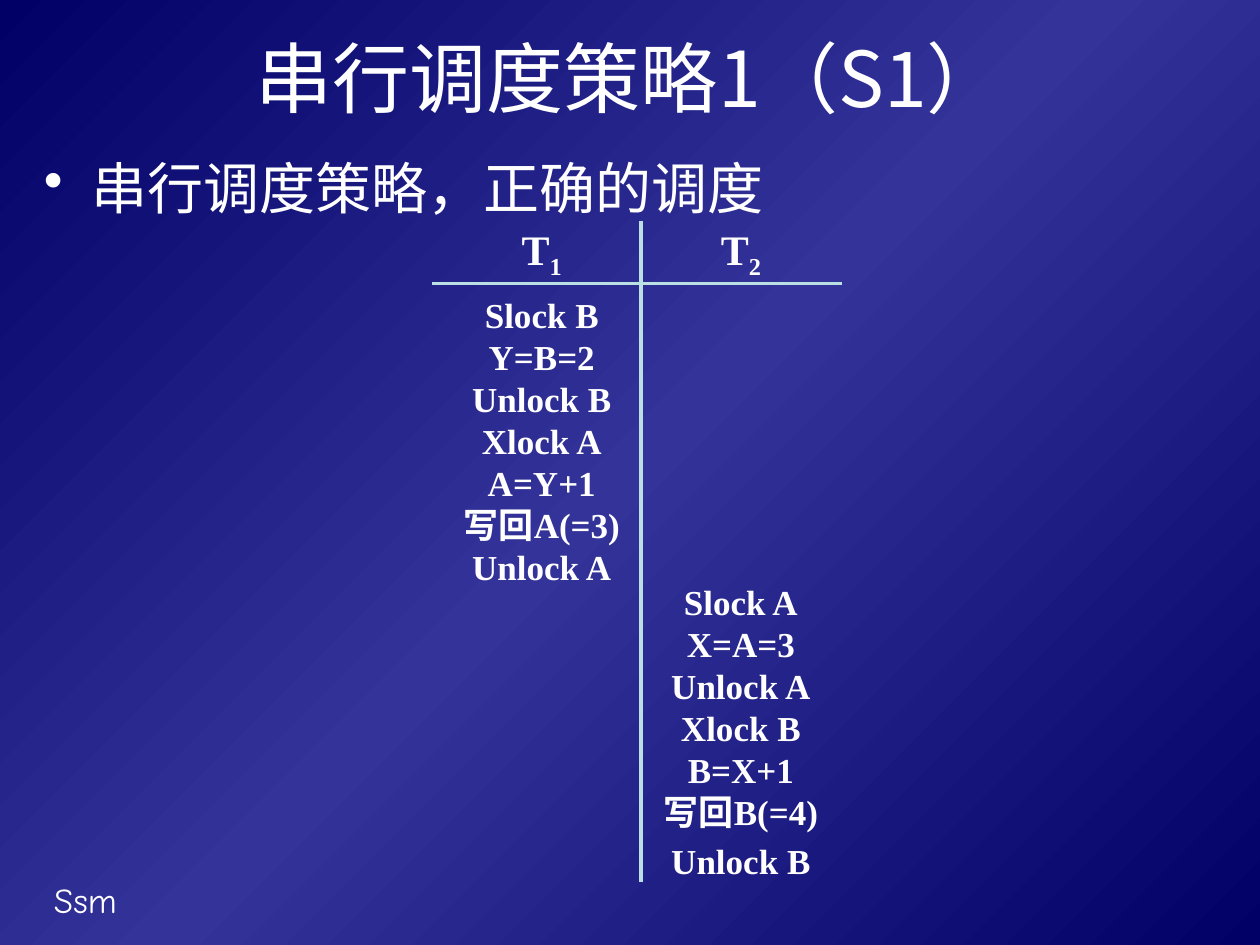
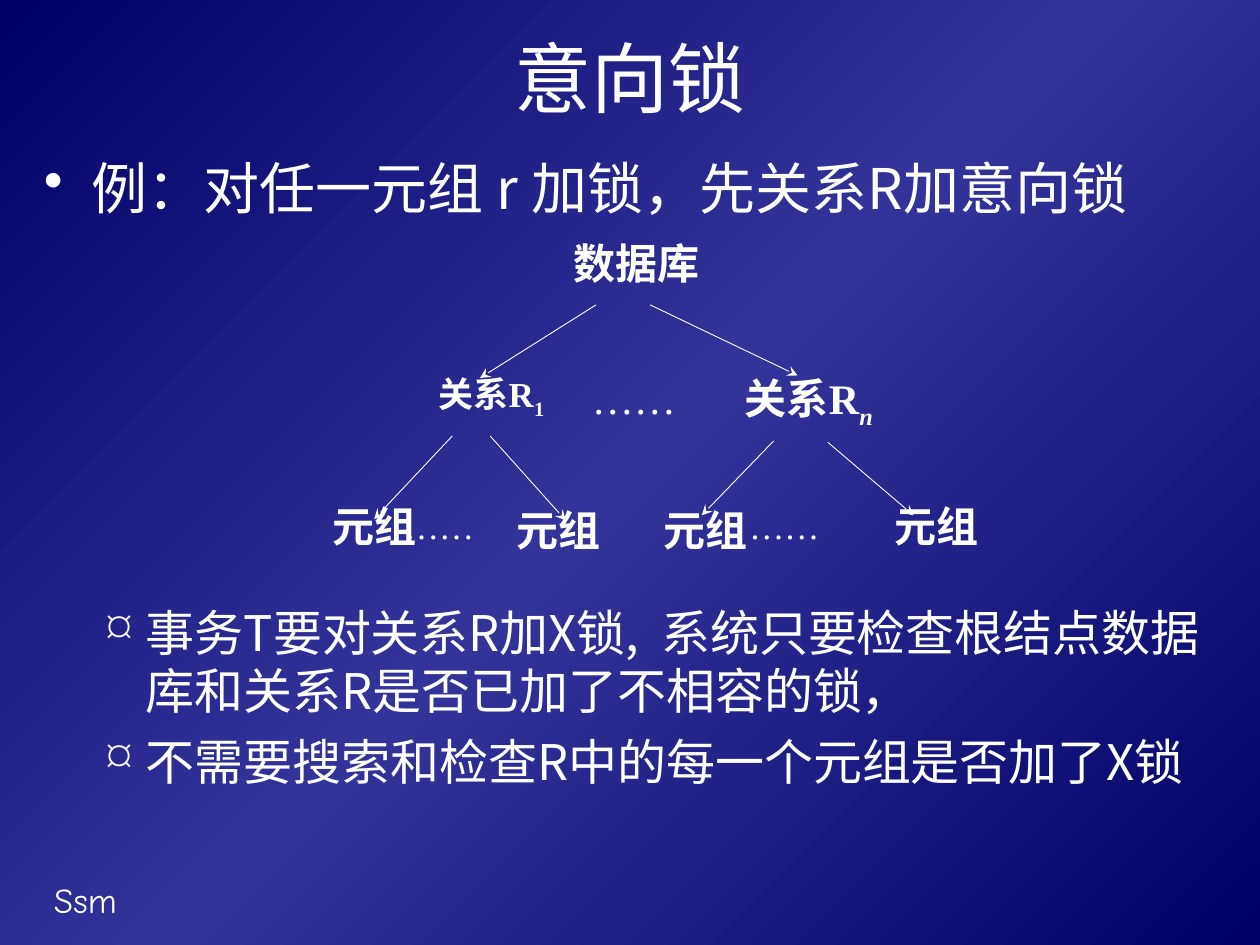
"""Build two lecture slides on database locking."""
from lxml import etree
from pptx import Presentation
from pptx.dml.color import RGBColor
from pptx.enum.shapes import MSO_CONNECTOR
from pptx.enum.text import MSO_ANCHOR, PP_ALIGN
from pptx.oxml.ns import qn
from pptx.util import Inches, Pt

LEFT, CENTER = PP_ALIGN.LEFT, PP_ALIGN.CENTER
TOP, MIDDLE, BOTTOM = MSO_ANCHOR.TOP, MSO_ANCHOR.MIDDLE, MSO_ANCHOR.BOTTOM
STRAIGHT = MSO_CONNECTOR.STRAIGHT

SANS, SERIF, COMIC = "Noto Sans CJK SC", "Times New Roman", "Comic Neue"
WHITE, RULE = "FFFFFF", "BBE0E3"
GRADIENT = [(0, "000066"), (50, "333399"), (100, "000066")]
FOOTER = "Ssm"

SCHEDULE_TITLE = "串行调度策略1（S1）"
SCHEDULE_POINT = "串行调度策略，正确的调度"
TRANSACTIONS = [
    ("1", TOP, ["Slock B", "Y=B=2", "Unlock B", "Xlock A", "A=Y+1",
                "写回A(=3)", "Unlock A"], 0),
    ("2", BOTTOM, ["Slock A", "X=A=3", "Unlock A", "Xlock B", "B=X+1",
                   "写回B(=4)", "Unlock B"], 4),
]
COLUMN_LEFT, COLUMN_WIDTH = 3.51, 1.58
HEAD_TOP, HEAD_HEIGHT, COLUMN_BOTTOM = 1.75, 0.5, 7
SCHEDULE_RULES = [(3.43, 2.25, 6.68, 2.25), (5.09, 1.75, 5.09, 7)]

LOCK_TITLE = "意向锁"
LOCK_POINT = "例：对任一元组 r 加锁，先关系R加意向锁"
LOCK_NOTES = [
    "事务T要对关系R加X锁,  系统只要检查根结点数据库和关系R是否已加了不相容的锁，",
    "不需要搜索和检查R中的每一个元组是否加了X锁",
]
TREE_ARROWS = [
    (4.73, 2.42, 3.81, 3), (5.16, 2.42, 6.33, 2.98),
    (3.59, 3.46, 2.97, 4.12), (3.89, 3.46, 4.49, 4.13),
    (6.14, 3.5, 5.57, 4.09), (6.57, 3.51, 7.25, 4.09),
]
TREE_NODES = [
    ("数据库", "", 24, (4.33, 1.86, 1.44, 0.64)),
    ("关系R", "n", 24, (5.69, 2.91, 1.46, 0.57)),
    ("关系R", "1", 20, (3.06, 2.91, 1.68, 0.91)),
    ("元组", "", 24, (2.4, 3.95, 1.14, 0.59)),
    ("元组", "", 24, (6.71, 3.95, 1.44, 0.66)),
    ("元组", "", 24, (3.86, 3.98, 1.14, 0.59)),
    ("元组", "", 24, (5.03, 3.98, 1.14, 0.59)),
]
TREE_DOTS = [
    (24, (4.6, 2.93, 1.46, 0.48)),
    (20, (5.85, 3.98, 1.46, 0.66)),
    (20, (3.11, 3.98, 1.46, 0.48)),
]


def color(value):
    return RGBColor.from_string(value)


def add_bullet(para, symbol, margin, hanging):
    properties = para._p.get_or_add_pPr()
    properties.set("marL", str(Inches(margin)))
    properties.set("indent", str(-Inches(hanging)))
    tint = etree.SubElement(properties, qn("a:buClr"))
    etree.SubElement(tint, qn("a:srgbClr"), val=WHITE)
    etree.SubElement(properties, qn("a:buChar"), char=symbol)


def add_span(para, text, size, font, bold=False, italic=False, lowered=False):
    span = para.add_run()
    span.text = text
    span.font.size = Pt(size)
    span.font.bold = bold
    span.font.italic = italic
    span.font.color.rgb = color(WHITE)
    span.font.name = font
    properties = span._r.get_or_add_rPr()
    if font == SANS:
        etree.SubElement(properties, qn("a:ea"), typeface=font)
    if lowered:
        properties.set("baseline", "-25000")


def add_text(page, lines, place, size=24, font=SERIF, bold=False, align=LEFT,
             anchor=TOP, spacing=None, before=0, last_before=None,
             subscript="", bullet=None, margins=(0.1, 0.05)):
    box = page.shapes.add_textbox(*map(Inches, place))
    frame = box.text_frame
    frame.word_wrap = True
    frame.vertical_anchor = anchor
    frame.margin_left = frame.margin_right = Inches(margins[0])
    frame.margin_top = frame.margin_bottom = Inches(margins[1])
    for index, line in enumerate(lines):
        para = frame.add_paragraph() if index else frame.paragraphs[0]
        if bullet:
            add_bullet(para, *bullet)
        para.alignment = align
        if spacing:
            para.line_spacing = spacing
        if index:
            para.space_before = Pt(before)
        add_span(para, line, size, font, bold)
    if last_before:
        para.space_before = Pt(last_before)
    if subscript:
        add_span(para, subscript, size, font, bold,
                 italic=subscript.isalpha(), lowered=True)


def add_line(page, ends, line_color, width, arrow=False):
    line = page.shapes.add_connector(STRAIGHT, *map(Inches, ends))
    line.line.color.rgb = color(line_color)
    line.line.width = Pt(width)
    if arrow:
        etree.SubElement(line.line._get_or_add_ln(), qn("a:tailEnd"), type="stealth")
    etree.SubElement(line._element.spPr, qn("a:effectLst"))


def paint_background(page):
    fill = page.background.fill
    fill.gradient()
    fill.gradient_angle = 315
    stops = page.element.find(".//" + qn("a:gsLst"))
    for stop in list(stops):
        stops.remove(stop)
    for position, value in GRADIENT:
        stop = etree.SubElement(stops, qn("a:gs"), pos=str(position * 1000))
        etree.SubElement(stop, qn("a:srgbClr"), val=value)


def add_page(deck, title, point):
    page = deck.slides.add_slide(deck.slide_layouts[6])
    paint_background(page)
    add_text(page, [FOOTER], (0.33, 6.92, 2.08, 0.44), size=20, font=COMIC,
             anchor=MIDDLE)
    add_text(page, [title], (0.5, 0.17, 9, 0.87), size=44, font=SANS,
             align=CENTER, anchor=MIDDLE)
    add_text(page, [point], (0.25, 1.17, 9.58, 0.7), size=32, font=SANS,
             spacing=Pt(38.4), bullet=("•", 0.38, 0.38))
    return page


def build_schedule(deck):
    page = add_page(deck, SCHEDULE_TITLE, SCHEDULE_POINT)
    for ends in SCHEDULE_RULES:
        add_line(page, ends, RULE, 2.25)
    steps_top = HEAD_TOP + HEAD_HEIGHT + 0.08
    for index, (number, anchor, steps, last_before) in enumerate(TRANSACTIONS):
        left = COLUMN_LEFT + index * COLUMN_WIDTH
        add_text(page, ["T"], (left, HEAD_TOP, COLUMN_WIDTH, HEAD_HEIGHT),
                 bold=True, align=CENTER, anchor=MIDDLE, subscript=number)
        add_text(page, steps,
                 (left, steps_top, COLUMN_WIDTH, COLUMN_BOTTOM - steps_top),
                 size=20, bold=True, align=CENTER, anchor=anchor,
                 spacing=Pt(24), last_before=last_before, margins=(0, 0))


def build_lock_tree(deck):
    page = add_page(deck, LOCK_TITLE, LOCK_POINT)
    add_text(page, LOCK_NOTES, (0.25, 4.73, 9.58, 2.1), size=28, font=SANS,
             spacing=Pt(33.6), before=7, bullet=("¤", 0.81, 0.31))
    for ends in TREE_ARROWS:
        add_line(page, ends, WHITE, 0.5, arrow=True)
    for label, subscript, size, place in TREE_NODES:
        add_text(page, [label], place, size=size, bold=True, align=CENTER,
                 spacing=0.96, subscript=subscript)
    for size, place in TREE_DOTS:
        add_text(page, ["……"], place, size=size, spacing=0.96)


def main():
    deck = Presentation()
    deck.slide_width, deck.slide_height = Inches(10), Inches(7.5)
    build_schedule(deck)
    build_lock_tree(deck)
    deck.save("out.pptx")


if __name__ == "__main__":
    main()
